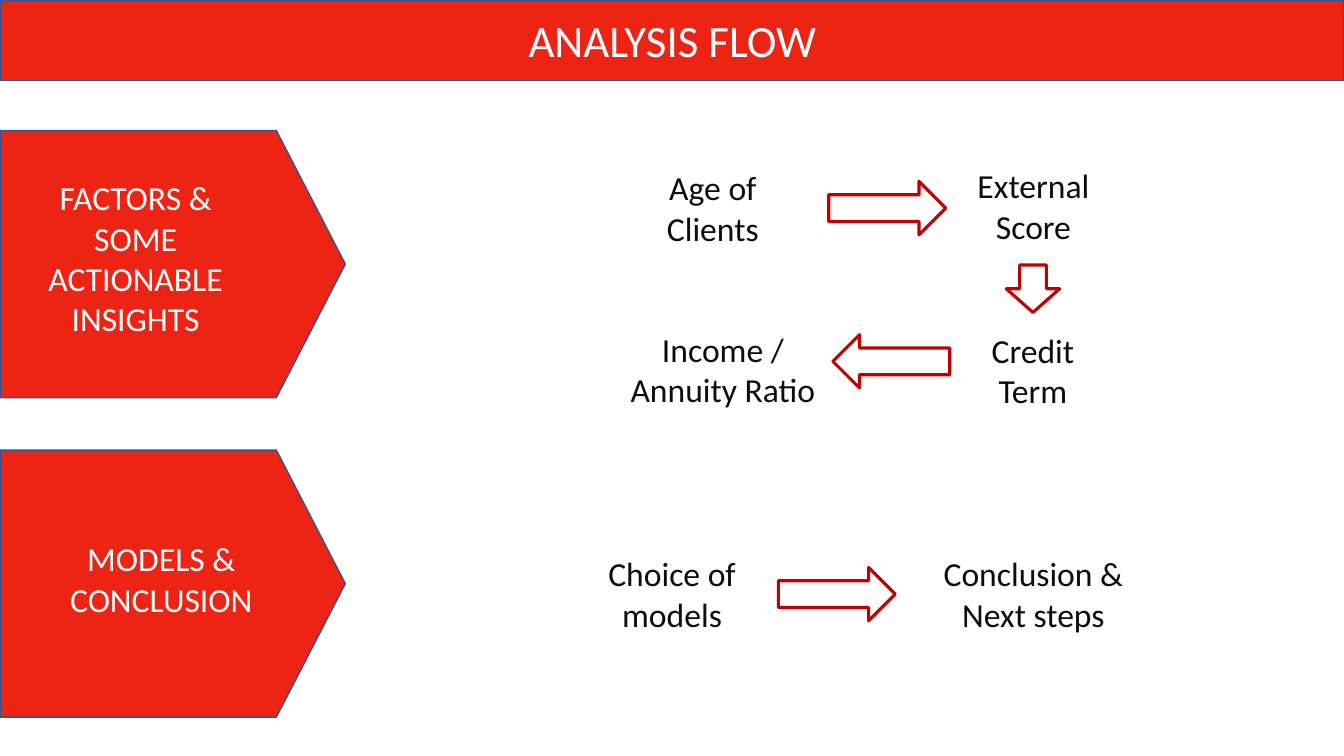
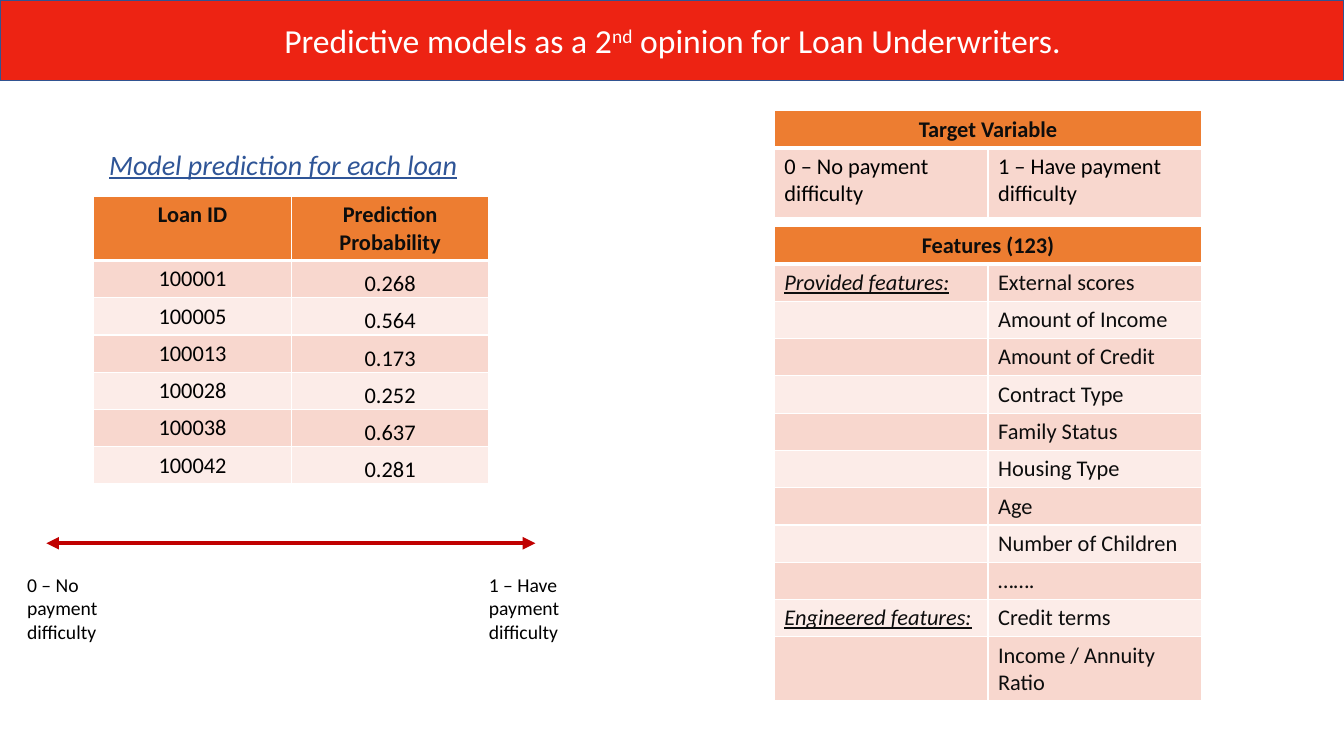
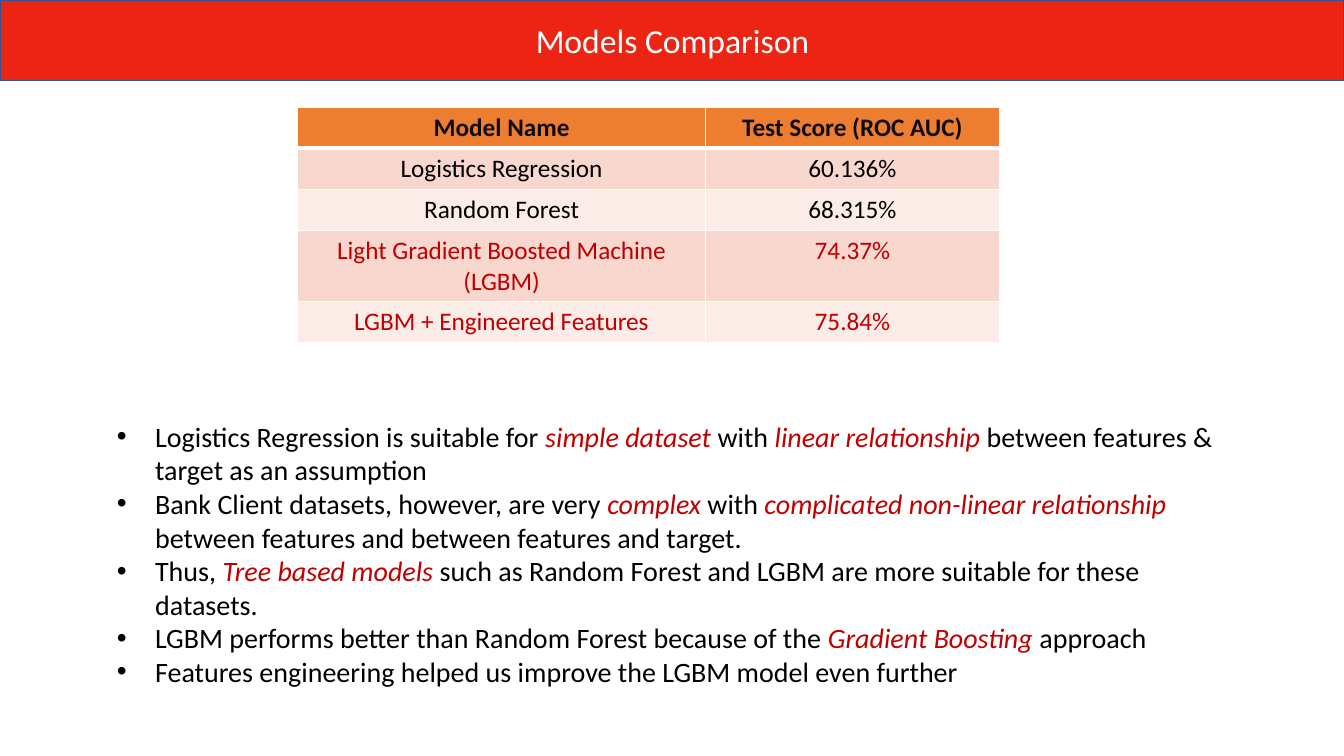
"""Build three slides on loan risk analysis and model comparison."""
from dataclasses import dataclass, field

from lxml.etree import SubElement
from pptx import Presentation
from pptx.dml.color import RGBColor
from pptx.enum.shapes import MSO_CONNECTOR as Connector, MSO_SHAPE as Preset
from pptx.enum.text import MSO_ANCHOR as Anchor, MSO_AUTO_SIZE as AutoSize, PP_ALIGN as Align
from pptx.oxml.ns import qn
from pptx.util import Inches, Pt

FONT = "Calibri"
RED, DARK_RED, NAVY, BLUE = "ED2313", "C00000", "325491", "2F5597"
ORANGE, INK, BLACK, WHITE = "ED7D31", "0D0D0D", "000000", "FFFFFF"
STRIPES = ("F8D7CE", "FCECE8")
LABEL = {"italic": True, "underline": True}
EMPHASIS = {"italic": True, "color": DARK_RED}


@dataclass
class Area:
    left: float
    top: float
    width: float
    height: float

    def lengths(self) -> tuple:
        return tuple(Inches(n) for n in (self.left, self.top, self.width, self.height))


@dataclass
class Span:
    text: str
    style: dict = field(default_factory=dict)


@dataclass
class Label:
    area: Area
    paragraphs: list
    size: int = 24
    color: str = INK
    align: Align = Align.CENTER
    style: dict = field(default_factory=dict)
    bulleted: bool = False


@dataclass
class Block:
    area: Area
    preset: Preset
    fill: str = WHITE
    line: str = DARK_RED
    weight: float = 2.25
    rotation: int = 0


@dataclass
class Grid:
    left: float
    top: float
    widths: list
    heights: list
    rows: list
    size: int = 16
    color: str = BLACK
    align: Align = Align.CENTER
    column_styles: dict = field(default_factory=dict)
    row_styles: dict = field(default_factory=dict)
    low_column: int = -1


def rgb(color: str) -> RGBColor:
    return RGBColor.from_string(color)


def write(para, spans: list, base: dict, align: Align) -> None:
    para.alignment = align
    for part in spans:
        span = para.add_run()
        span.text = part.text
        values = {"name": FONT, **base, **part.style}
        span.font.color.rgb = rgb(values.pop("color"))
        baseline = values.pop("baseline", None)
        for name, value in values.items():
            setattr(span.font, name, value)
        if baseline:
            span.font._element.set("baseline", str(baseline))


def add_bullet(para) -> None:
    properties = para._p.get_or_add_pPr()
    indent = Inches(0.38)
    properties.set("marL", str(indent))
    properties.set("indent", str(-indent))
    SubElement(properties, qn("a:buFont"), typeface="Arial")
    SubElement(properties, qn("a:buChar"), char="•")


def add_label(page, label: Label) -> None:
    frame = page.shapes.add_textbox(*label.area.lengths()).text_frame
    frame.word_wrap = True
    frame.auto_size = AutoSize.SHAPE_TO_FIT_TEXT
    base = {"size": Pt(label.size), "color": label.color, **label.style}
    for index, content in enumerate(label.paragraphs):
        para = frame.add_paragraph() if index else frame.paragraphs[0]
        spans = [Span(content)] if isinstance(content, str) else content
        write(para, spans, base, label.align)
        if label.bulleted:
            add_bullet(para)


def add_block(page, block: Block) -> None:
    shape = page.shapes.add_shape(block.preset, *block.area.lengths())
    shape.shadow.inherit = False
    shape.rotation = block.rotation
    shape.fill.solid()
    shape.fill.fore_color.rgb = rgb(block.fill)
    shape.line.color.rgb = rgb(block.line)
    shape.line.width = Pt(block.weight)


def add_borders(cell, bottom: float) -> None:
    properties = cell._tc.get_or_add_tcPr()
    for side, weight in {"L": 1, "R": 1, "T": 1, "B": bottom}.items():
        line = SubElement(properties, qn(f"a:ln{side}"), w=str(Pt(weight)))
        SubElement(SubElement(line, qn("a:solidFill")), qn("a:srgbClr"), val=WHITE)


def add_grid(page, grid: Grid) -> None:
    area = Area(grid.left, grid.top, sum(grid.widths), sum(grid.heights))
    table = page.shapes.add_table(len(grid.rows), len(grid.widths), *area.lengths()).table
    for column, width in zip(table.columns, grid.widths):
        column.width = Inches(width)
    for row, height in zip(table.rows, grid.heights):
        row.height = Inches(height)
    if len(grid.rows[0]) < len(grid.widths):
        table.cell(0, 0).merge(table.cell(0, len(grid.widths) - 1))
    for r in range(len(grid.rows)):
        header = r == 0
        for c in range(len(grid.widths)):
            cell = table.cell(r, c)
            add_borders(cell, 3 if header else 1)
            cell.fill.solid()
            cell.fill.fore_color.rgb = rgb(ORANGE if header else STRIPES[(r - 1) % 2])
            text = grid.rows[r][c] if c < len(grid.rows[r]) else ""
            para = cell.text_frame.paragraphs[0]
            if not text:
                SubElement(para._p, qn("a:endParaRPr"), sz=str(grid.size * 100))
                continue
            base = {"size": Pt(grid.size), "bold": header, "color": INK if header else grid.color}
            if not header:
                base |= grid.column_styles.get(c, {}) | grid.row_styles.get(r, {})
            write(para, [Span(text)], base, Align.CENTER if header else grid.align)
            if c == grid.low_column and not header:
                cell.vertical_anchor = Anchor.BOTTOM
                cell.margin_left = cell.margin_right = cell.margin_top = Inches(0.01)
                cell.margin_bottom = 0


def add_scale(page, start: float, end: float, top: float) -> None:
    points = (Inches(n) for n in (start, top, end, top))
    scale = page.shapes.add_connector(Connector.STRAIGHT, *points)
    scale.line.color.rgb = rgb(DARK_RED)
    scale.line.width = Pt(3)
    line = scale.line._get_or_add_ln()
    for tip in ("headEnd", "tailEnd"):
        SubElement(line, qn(f"a:{tip}"), type="triangle")
    SubElement(scale._element.spPr, qn("a:effectLst"))


def add_page(deck, title: list, area: Area = Area(0.61, 0.15, 12.12, 0.5), size: int = 24):
    page = deck.slides.add_slide(deck.slide_layouts[6])
    add_block(page, Block(Area(0, 0, 13.33, 0.8), Preset.RECTANGLE, RED, NAVY, 1))
    add_label(page, Label(area, [title], size, WHITE))
    return page


def emphasize(text: str) -> list:
    parts = enumerate(text.split("*"))
    return [Span(part, EMPHASIS if index % 2 else {}) for index, part in parts if part]


def build_flow(deck) -> None:
    page = add_page(deck, [Span("ANALYSIS FLOW")], Area(3.31, 0.08, 6.72, 0.64), 32)
    for top in (0.91, 4.08):
        area = Area(0.39, top, 2.65, 3.42)
        add_block(page, Block(area, Preset.FLOWCHART_OFFPAGE_CONNECTOR, RED, NAVY, 1, 270))
    arrows = [
        (Area(8.22, 1.8, 1.16, 0.53), 0),
        (Area(10.01, 2.6, 0.47, 0.53), 90),
        (Area(8.26, 3.32, 1.16, 0.53), 180),
        (Area(7.72, 5.63, 1.16, 0.53), 0),
    ]
    for area, rotation in arrows:
        add_block(page, Block(area, Preset.RIGHT_ARROW, rotation=rotation))
    labels = [
        Label(Area(0.1, 1.71, 2.49, 1.72), ["FACTORS & SOME ACTIONABLE INSIGHTS"], color=WHITE),
        Label(Area(0, 5.29, 3.2, 0.91), ["MODELS & CONCLUSION"], color=WHITE),
        Label(Area(6.28, 1.61, 1.58, 0.91), ["Age of Clients"]),
        Label(Area(9.55, 1.59, 1.4, 0.91), ["External Score"]),
        Label(Area(9.73, 3.22, 1.03, 0.91), ["Credit Term"]),
        Label(Area(6.12, 3.21, 2.1, 0.91), ["Income / Annuity Ratio"]),
        Label(Area(5.92, 5.44, 1.49, 0.91), ["Choice of models"]),
        Label(Area(8.85, 5.44, 2.8, 0.91), ["Conclusion &", "Next steps"]),
    ]
    for label in labels:
        add_label(page, label)


def build_prediction(deck) -> None:
    title = [
        Span("Predictive models as a 2"),
        Span("nd", {"baseline": 30000}),
        Span(" opinion for Loan Underwriters."),
    ]
    page = add_page(deck, title)
    heading = Area(0.76, 1.41, 4.1, 0.44)
    add_label(page, Label(heading, ["Model prediction for each loan"], 20, BLUE, style=LABEL))
    loans = [
        ("Loan ID", "Prediction Probability"),
        ("100001", "0.268"),
        ("100005", "0.564"),
        ("100013", "0.173"),
        ("100028", "0.252"),
        ("100038", "0.637"),
        ("100042", "0.281"),
    ]
    outcomes = ("0 – No payment difficulty", "1 – Have payment difficulty")
    features = [
        ("Features (123)",),
        ("Provided features:", "External scores"),
        ("", "Amount of Income"),
        ("", "Amount of Credit"),
        ("", "Contract Type"),
        ("", "Family Status"),
        ("", "Housing Type"),
        ("", "Age"),
        ("", "Number of Children"),
        ("", "……."),
        ("Engineered features:", "Credit terms"),
        ("", "Income / Annuity Ratio"),
    ]
    halves = [2.12, 2.12]
    grids = [
        Grid(0.93, 1.95, [1.96, 1.96], [0.63] + [0.37] * 6, loans, low_column=1),
        Grid(7.68, 1.1, halves, [0.36, 0.69], [("Target Variable",), outcomes], align=Align.LEFT),
        Grid(7.68, 2.25, halves, [0.37] * 11 + [0.63], features, color=INK,
             align=Align.LEFT, column_styles={0: LABEL}),
    ]
    for grid in grids:
        add_grid(page, grid)
    add_scale(page, 0.46, 5.31, 5.39)
    for left, outcome in zip((0.17, 4.75), outcomes):
        add_label(page, Label(Area(left, 5.63, 1.16, 1.04), [outcome], 14, BLACK, Align.LEFT))


def build_comparison(deck) -> None:
    page = add_page(deck, [Span("Models Comparison")])
    scores = [
        ("Model Name", "Test Score (ROC AUC)"),
        ("Logistics Regression", "60.136%"),
        ("Random Forest", "68.315%"),
        ("Light Gradient Boosted Machine (LGBM)", "74.37%"),
        ("LGBM + Engineered Features", "75.84%"),
    ]
    best = {row: {"color": DARK_RED} for row in (3, 4)}
    heights = [0.4, 0.41, 0.41, 0.69, 0.41]
    add_grid(page, Grid(2.95, 1.07, [4.05, 2.91], heights, scores, 18, row_styles=best))
    findings = [
        "Logistics Regression is suitable for *simple dataset *with *linear relationship *"
        "between features & target as an assumption",
        "Bank Client datasets, however, are very *complex* with "
        "*complicated non-linear relationship *between features and between features and target.",
        "Thus, *Tree based models *such as Random Forest and LGBM are more suitable "
        "for these datasets.",
        "LGBM performs better than Random Forest because of the *Gradient Boosting *approach",
        "Features engineering helped us improve the LGBM model even further",
    ]
    paragraphs = [emphasize(finding) for finding in findings]
    area = Area(1.06, 4.11, 11.21, 2.79)
    add_label(page, Label(area, paragraphs, 20, BLACK, Align.LEFT, bulleted=True))


def main() -> None:
    deck = Presentation()
    deck.slide_width, deck.slide_height = Inches(13.33), Inches(7.5)
    for build in (build_flow, build_prediction, build_comparison):
        build(deck)
    deck.save("out.pptx")


if __name__ == "__main__":
    main()
